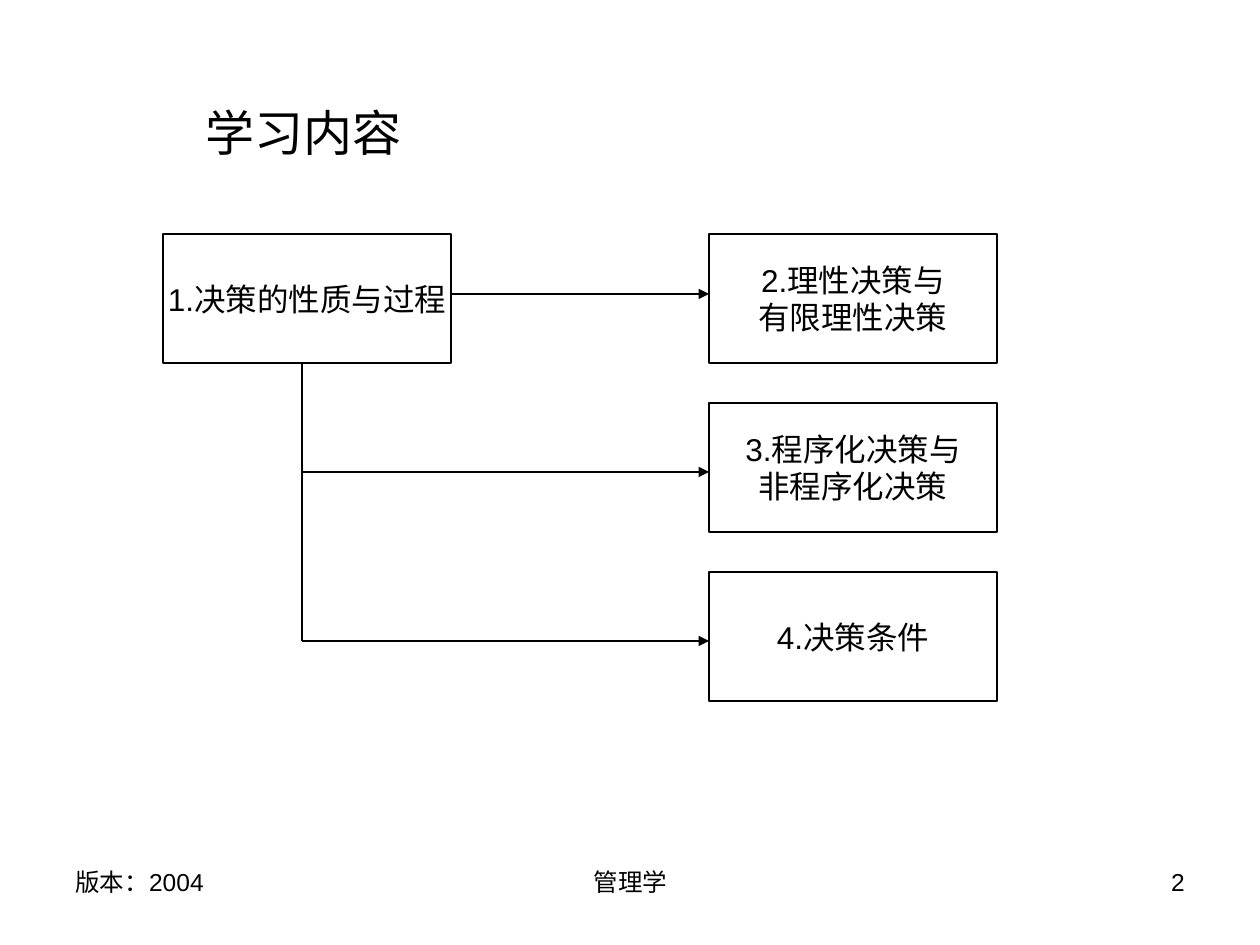
from lxml.etree import SubElement
from pptx import Presentation
from pptx.dml.color import RGBColor
from pptx.enum.shapes import MSO_CONNECTOR, MSO_SHAPE
from pptx.enum.text import MSO_ANCHOR, PP_ALIGN
from pptx.oxml.ns import qn
from pptx.util import Emu, Pt

# Content
TITLE = "学习内容"
START = ["1.决策的性质与过程"]
TOPICS = [
    ["2.理性决策与", "有限理性决策"],
    ["3.程序化决策与", "非程序化决策"],
    ["4.决策条件"],
]
FOOTERS = [  # text, left, width, alignment
    ("版本：2004", 63, 294, PP_ALIGN.LEFT),
    ("管理学", 431, 399, PP_ALIGN.CENTER),
    ("2", 903, 294, PP_ALIGN.RIGHT),
]
COLORS = {"ink": "000000", "paper": "FFFFFF"}
FONT = "Arial"

# Layout in px
SLIDE_W, SLIDE_H = 1260, 945
BOX_W, BOX_H = 288, 129
START_LEFT, TOPIC_LEFT, FIRST_TOP, ROW_STEP = 163, 709, 234, 169
TRUNK_X = 302
ARROW_YS = [294, 472, 641]


def px(n):
    return Emu(round(n * 914400 / 126))


def color(name):
    return RGBColor.from_string(COLORS[name])


def write(frame, lines, size, align):
    frame.text = "\n".join(lines)
    for paragraph in frame.paragraphs:
        paragraph.alignment = align
        paragraph.font.name = FONT
        paragraph.font.size = Pt(size)
        paragraph.font.color.rgb = color("ink")


def add_label(slide, text, left, top, width, height, size, align=PP_ALIGN.LEFT):
    label = slide.shapes.add_textbox(px(left), px(top), px(width), px(height))
    label.text_frame.word_wrap = True
    write(label.text_frame, [text], size, align)


def add_box(slide, lines, left, top):
    box = slide.shapes.add_shape(
        MSO_SHAPE.RECTANGLE, px(left), px(top), px(BOX_W), px(BOX_H))
    box.shadow.inherit = False
    box.fill.solid()
    box.fill.fore_color.rgb = color("paper")
    box.line.color.rgb = color("ink")
    box.line.width = Pt(0.75)
    box.text_frame.word_wrap = False
    box.text_frame.vertical_anchor = MSO_ANCHOR.MIDDLE
    write(box.text_frame, lines, 18, PP_ALIGN.CENTER)


def add_line(slide, x1, y1, x2, y2, arrow=False):
    line = slide.shapes.add_connector(
        MSO_CONNECTOR.STRAIGHT, px(x1), px(y1), px(x2), px(y2))
    line.line.color.rgb = color("ink")
    line.line.width = Pt(0.75)
    if arrow:
        SubElement(line.line._get_or_add_ln(), qn("a:tailEnd"), type="triangle")
    SubElement(line._element.spPr, qn("a:effectLst"))


def main():
    prs = Presentation()
    prs.slide_width, prs.slide_height = px(SLIDE_W), px(SLIDE_H)
    slide = prs.slides.add_slide(prs.slide_layouts[6])

    # Title and footers
    add_label(slide, TITLE, 193, 96, 238, 72, 28)
    for text, left, width, align in FOOTERS:
        add_label(slide, text, left, 861, width, 66, 14, align)

    # Starting box, with a trunk down to the last topic
    add_box(slide, START, START_LEFT, FIRST_TOP)
    add_line(slide, TRUNK_X, FIRST_TOP + BOX_H, TRUNK_X, ARROW_YS[-1])

    # Topics: the first arrow leaves the box, the others leave the trunk
    for row, (lines, y) in enumerate(zip(TOPICS, ARROW_YS)):
        add_box(slide, lines, TOPIC_LEFT, FIRST_TOP + row * ROW_STEP)
        arrow_left = TRUNK_X if row else START_LEFT + BOX_W
        add_line(slide, arrow_left, y, TOPIC_LEFT, y, arrow=True)

    prs.save("out.pptx")


if __name__ == "__main__":
    main()
